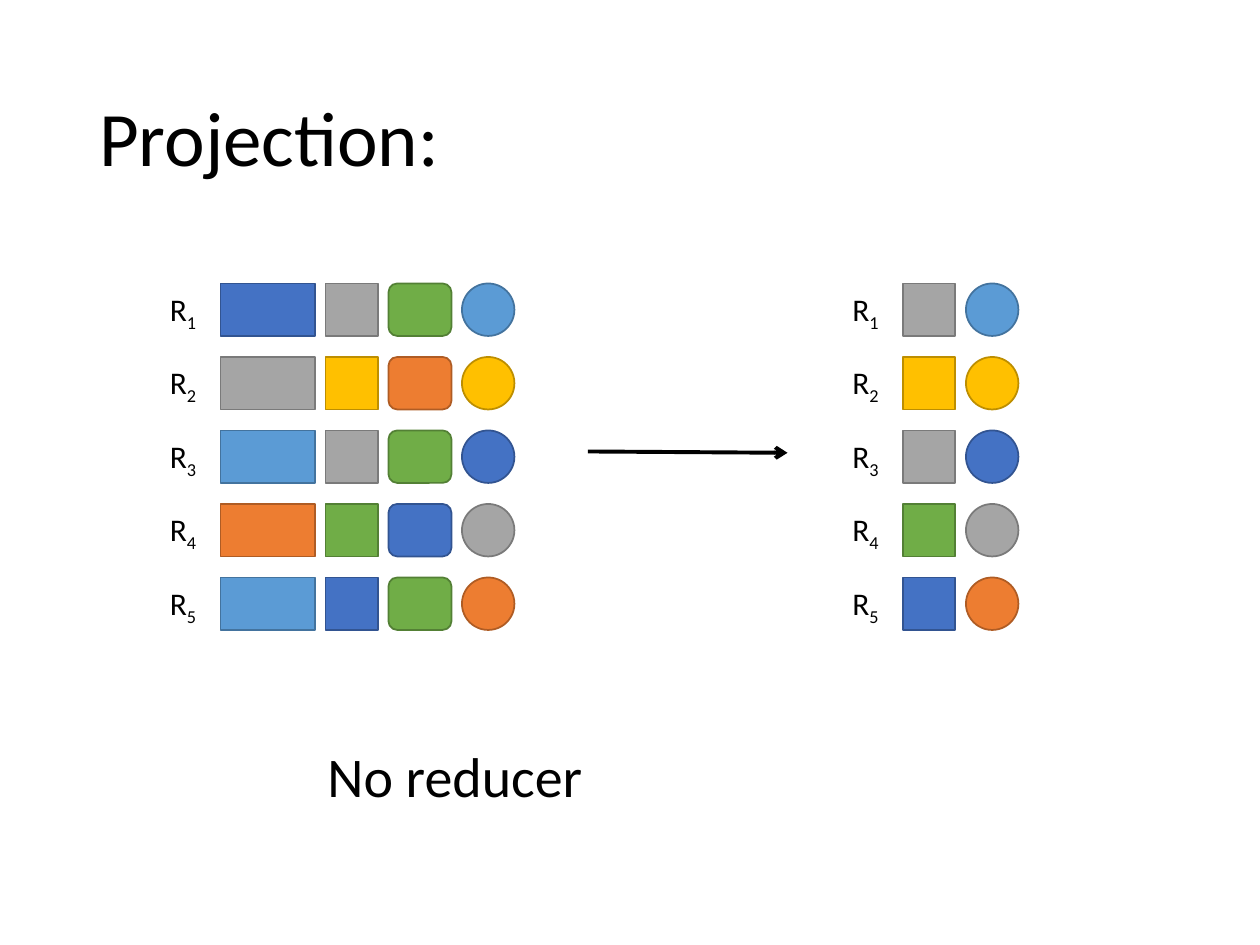
from dataclasses import dataclass

from lxml import etree
from pptx import Presentation
from pptx.dml.color import RGBColor
from pptx.enum.shapes import MSO_CONNECTOR, MSO_SHAPE
from pptx.enum.text import MSO_ANCHOR, MSO_AUTO_SIZE, PP_ALIGN
from pptx.oxml.ns import qn
from pptx.util import Pt

PX = 9525
RECT, ROUND, OVAL = MSO_SHAPE.RECTANGLE, MSO_SHAPE.ROUNDED_RECTANGLE, MSO_SHAPE.OVAL
LINE = MSO_CONNECTOR.STRAIGHT
LEFT, MIDDLE = PP_ALIGN.LEFT, MSO_ANCHOR.MIDDLE
FIT, FIXED = MSO_AUTO_SIZE.SHAPE_TO_FIT_TEXT, MSO_AUTO_SIZE.NONE


@dataclass(frozen=True)
class Theme:
    """Hold the colours and type sizes of the slide."""
    font: str = "Calibri"
    ink: str = "000000"
    title: int = 44
    note: int = 32
    label: int = 18
    edge: float = 1
    arrow: float = 2.25
    blue: tuple = ("4472C4", "325491")
    gray: tuple = ("A5A5A5", "7A7A7A")
    green: tuple = ("70AD47", "538035")
    sky: tuple = ("5B9BD5", "43739E")
    gold: tuple = ("FFC000", "BD8E00")
    orange: tuple = ("ED7D31", "AF5C24")


THEME = Theme()
TOP, STEP, SIDE = 216, 56, 40
FIELDS = [(RECT, 72), (RECT, 40), (ROUND, 48), (OVAL, 40)]
GAP, INDENT = 8, 48
ROWS = [
    ("blue", "gray", "green", "sky"),
    ("gray", "gold", "orange", "gold"),
    ("sky", "gray", "green", "blue"),
    ("orange", "green", "blue", "gray"),
    ("sky", "blue", "green", "orange"),
]


def px(*nums):
    """Turn px lengths into EMU."""
    return [num * PX for num in nums]


def rgb(code):
    """Turn a hex code into a colour."""
    return RGBColor.from_string(code)


def apply(item, style):
    """Set each attribute named in style."""
    for name, value in style.items():
        setattr(item, name, value)


def write(para, text, size, base=None):
    """Add a run of text, lowered when base is given."""
    run = para.add_run()
    run.text = text
    apply(run.font, {"name": THEME.font, "size": Pt(size)})
    run.font.color.rgb = rgb(THEME.ink)
    if base:
        run._r.get_or_add_rPr().set("baseline", str(base))


def add_title(slide, text):
    """Place and fill the title."""
    title = slide.shapes.title
    apply(title, dict(zip(("left", "top", "width", "height"), px(66, 38, 828, 139))))
    apply(title.text_frame, {"vertical_anchor": MIDDLE, "auto_size": FIXED})
    para = title.text_frame.paragraphs[0]
    apply(para, {"alignment": LEFT, "line_spacing": 0.9})
    write(para, text, THEME.title)


def add_text(slide, box, wrap):
    """Add a text box and give back its first paragraph."""
    frame = slide.shapes.add_textbox(*px(*box)).text_frame
    apply(frame, {"word_wrap": wrap, "auto_size": FIT})
    return frame.paragraphs[0]


def add_cell(slide, kind, box, hue):
    """Add one coloured field of a record."""
    cell = slide.shapes.add_shape(kind, *px(*box))
    fill, edge = getattr(THEME, hue)
    cell.shadow.inherit = False
    cell.fill.solid()
    cell.fill.fore_color.rgb = rgb(fill)
    cell.line.color.rgb = rgb(edge)
    cell.line.width = Pt(THEME.edge)


def add_table(slide, left, picks):
    """Add all records with only the picked fields."""
    for row, hues in enumerate(ROWS):
        top = TOP + row * STEP
        para = add_text(slide, (left, top, 40, 38), False)
        write(para, "R", THEME.label)
        write(para, str(row + 1), THEME.label, -25000)
        x = left + INDENT
        for pick in picks:
            kind, width = FIELDS[pick]
            add_cell(slide, kind, (x, top, width, SIDE), hues[pick])
            x += width + GAP


def add_arrow(slide, ends):
    """Add a line with an open head at its end."""
    arrow = slide.shapes.add_connector(LINE, *px(*ends))
    arrow.line.color.rgb = rgb(THEME.ink)
    arrow.line.width = Pt(THEME.arrow)
    etree.SubElement(arrow.line._get_or_add_ln(), qn("a:tailEnd"), type="arrow")
    etree.SubElement(arrow._element.spPr, qn("a:effectLst"))


def main():
    """Build and save the slide."""
    deck = Presentation()
    deck.slide_width, deck.slide_height = px(960, 720)
    slide = deck.slides.add_slide(deck.slide_layouts[5])
    add_title(slide, "Projection:")
    add_table(slide, 120, (0, 1, 2, 3))
    add_arrow(slide, (448, 344, 600, 345))
    add_table(slide, 640, (1, 3))
    write(add_text(slide, (240, 560, 216, 61), True), "No reducer", THEME.note)
    deck.save("out.pptx")


if __name__ == "__main__":
    main()
